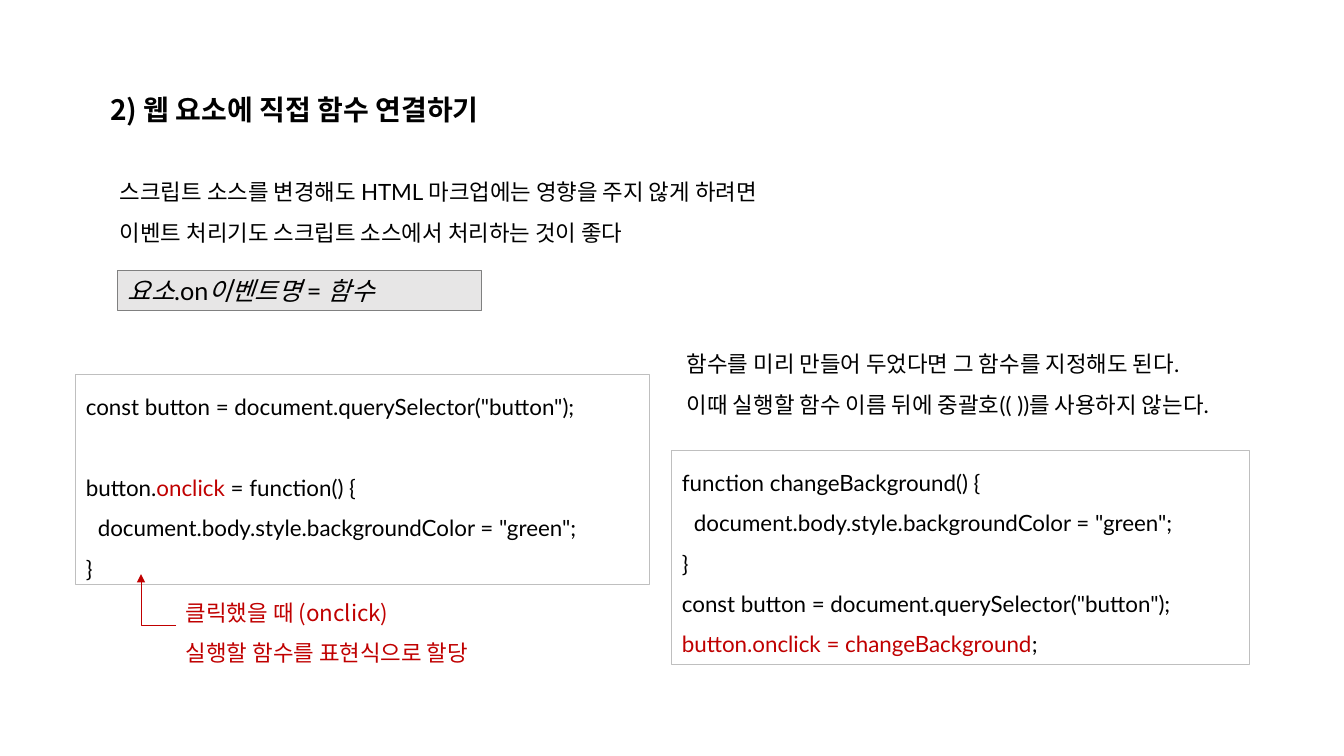
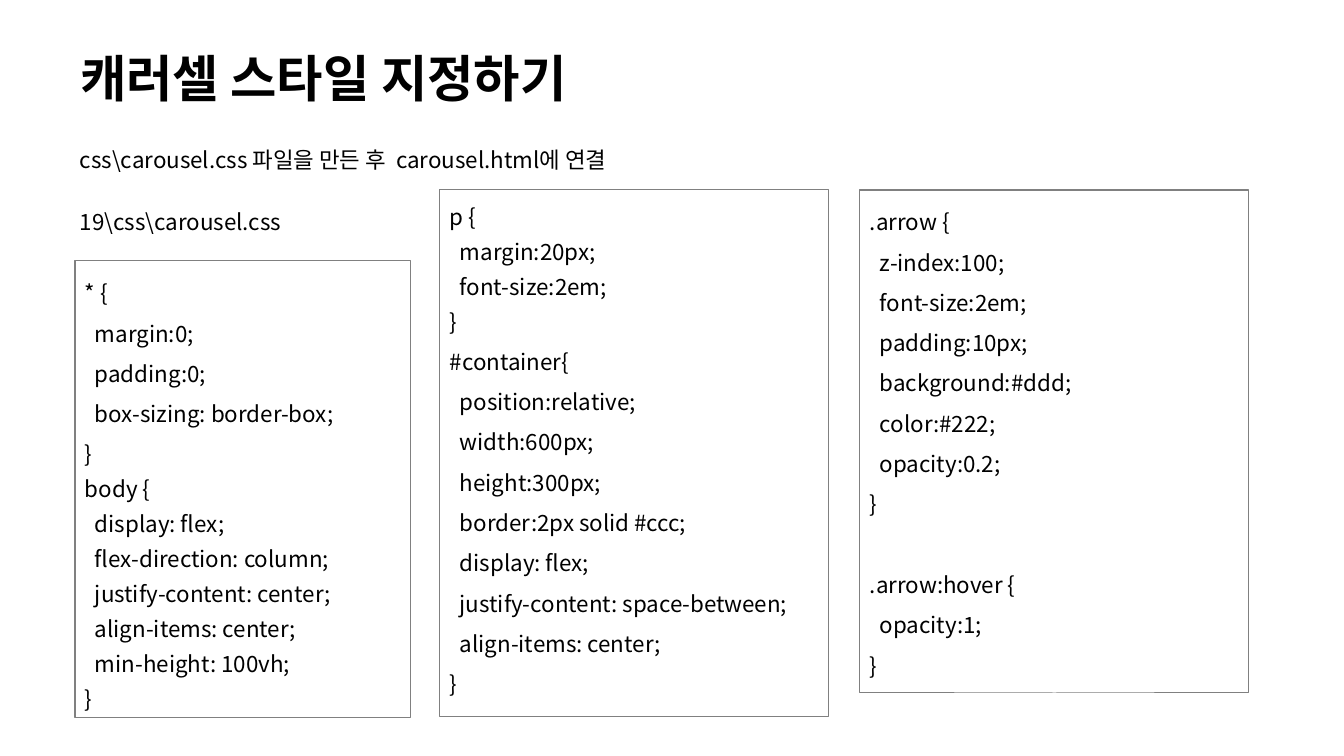
from dataclasses import dataclass

from lxml import etree
from pptx import Presentation
from pptx import util as u
from pptx.dml import color as dml
from pptx.enum import shapes, text
from pptx.oxml import ns

PIXEL = 12192000 / 1344
BLACK = "000000"
RED = "C00000"
GRAY = "808080"
SILVER = "BFBFBF"
PALE = "E7E6E6"
LATO = "Lato"
NOTO = "Noto Sans CJK KR"
BODY_SIZE = 16
LOOSE = 1.5
SNUG = 1.3
BLANK_LINE = 29
TITLE_ONLY = 5


@dataclass(frozen=True)
class Run:
    text: str
    color: str = BLACK
    italic: bool = False


@dataclass(frozen=True)
class Line:
    runs: tuple[Run, ...]
    spacing: float = LOOSE
    indented: bool = False
    after_blank: bool = False


@dataclass(frozen=True)
class Box:
    left: int
    top: int
    width: int
    height: int
    lines: tuple[Line, ...]
    font: str = NOTO
    size: int = BODY_SIZE
    border: str | None = None
    fill: str | None = None
    indent: int = 10


@dataclass(frozen=True)
class Title:
    left: int
    top: int
    width: int
    height: int
    text: str
    size: int
    spacing: float
    anchor: text.MSO_ANCHOR


def px(pixels: float) -> u.Emu:
    return u.Emu(round(pixels * PIXEL))


def rgb(value: str) -> dml.RGBColor:
    return dml.RGBColor.from_string(value)


def block(source: str, spacing: float = LOOSE, color: str = BLACK) -> tuple[Line, ...]:
    lines: list[Line] = []
    after_blank = False
    for row in source.strip("\n").split("\n"):
        if row:
            lines.append(Line((Run(row.lstrip(), color),), spacing, row.startswith(" "), after_blank))
        after_blank = not row
    return tuple(lines)


def add_run(paragraph, words: str, *, font: str, size: int, color: str = BLACK,
            bold: bool = False, italic: bool = False) -> None:
    run = paragraph.add_run()
    run.text = words
    run.font.name = font
    run.font.size = u.Pt(size)
    run.font.bold = bold
    run.font.italic = italic
    run.font.color.rgb = rgb(color)
    east_asian = etree.SubElement(run.font._element, ns.qn("a:ea"))
    east_asian.set("typeface", NOTO)


def add_title(slide, title: Title) -> None:
    shape = slide.shapes.title
    shape.left, shape.top = px(title.left), px(title.top)
    shape.width, shape.height = px(title.width), px(title.height)
    frame = shape.text_frame
    frame.auto_size = text.MSO_AUTO_SIZE.NONE
    frame.word_wrap = True
    frame.vertical_anchor = title.anchor
    paragraph = frame.paragraphs[0]
    paragraph.alignment = text.PP_ALIGN.LEFT
    paragraph.line_spacing = title.spacing
    add_run(paragraph, title.text, font=NOTO, size=title.size, bold=True)


def add_box(slide, box: Box) -> None:
    place = px(box.left), px(box.top), px(box.width), px(box.height)
    if box.border:
        shape = slide.shapes.add_shape(shapes.MSO_SHAPE.RECTANGLE, *place)
        shape.shadow.inherit = False
        shape.line.color.rgb = rgb(box.border)
        shape.line.width = u.Pt(0.75)
        if box.fill:
            shape.fill.solid()
            shape.fill.fore_color.rgb = rgb(box.fill)
        else:
            shape.fill.background()
    else:
        shape = slide.shapes.add_textbox(*place)
    frame = shape.text_frame
    frame.word_wrap = True
    frame.auto_size = text.MSO_AUTO_SIZE.SHAPE_TO_FIT_TEXT
    frame.vertical_anchor = text.MSO_ANCHOR.TOP
    for index, line in enumerate(box.lines):
        paragraph = frame.add_paragraph() if index else frame.paragraphs[0]
        paragraph.alignment = text.PP_ALIGN.LEFT
        paragraph.line_spacing = line.spacing
        if line.after_blank:
            paragraph.space_before = u.Pt(BLANK_LINE)
        if line.indented:
            paragraph._p.get_or_add_pPr().set("marL", str(px(box.indent)))
        for run in line.runs:
            add_run(paragraph, run.text, font=box.font, size=box.size,
                    color=run.color, italic=run.italic)


def add_bent_arrow(slide, left: int, top: int, right: int, bottom: int, color: str) -> None:
    connector = slide.shapes.add_connector(
        shapes.MSO_CONNECTOR.ELBOW, px(left), px(top), px(right), px(bottom))
    connector.line.color.rgb = rgb(color)
    connector.line.width = u.Pt(0.5)
    properties = connector._element.spPr
    properties.find(ns.qn("a:xfrm")).set("rot", "10800000")
    properties.find(ns.qn("a:prstGeom")).set("prst", "bentConnector2")
    tail = etree.SubElement(properties.find(ns.qn("a:ln")), ns.qn("a:tailEnd"))
    tail.set("type", "triangle")
    etree.SubElement(properties, ns.qn("a:effectLst"))


def add_slide(presentation, title: Title, boxes: tuple[Box, ...]):
    slide = presentation.slides.add_slide(presentation.slide_layouts[TITLE_ONLY])
    add_title(slide, title)
    for box in boxes:
        add_box(slide, box)
    return slide


SELECT_BUTTON = 'const button = document.querySelector("button");'
SET_GREEN = '  document.body.style.backgroundColor = "green";'

HANDLER_TITLE = Title(100, 87, 682, 44, "2) 웹 요소에 직접 함수 연결하기", 20, 1.0,
                      text.MSO_ANCHOR.TOP)
HANDLER_BOXES = (
    Box(110, 160, 938, 87, block("""
스크립트 소스를 변경해도 HTML 마크업에는 영향을 주지 않게 하려면
이벤트 처리기도 스크립트 소스에서 처리하는 것이 좋다
"""), LATO),
    Box(118, 270, 364, 41, (Line((
        Run("요소", italic=True), Run(".on"), Run("이벤트명 ", italic=True),
        Run("= "), Run("함수", italic=True)), 1.0),), LATO, 18, GRAY, PALE),
    Box(76, 375, 574, 210, (
        *block(SELECT_BUTTON),
        Line((Run("button."), Run("onclick ", RED), Run("= function() {")), after_blank=True),
        *block(f"{SET_GREEN}\n}}"),
    ), LATO, border=SILVER, indent=12),
    Box(176, 581, 330, 87, block("""
클릭했을 때 (onclick)
실행할 함수를 표현식으로 할당
""", color=RED)),
    Box(677, 332, 652, 87, block("""
함수를 미리 만들어 두었다면 그 함수를 지정해도 된다.
이때 실행할 함수 이름 뒤에 중괄호(( ))를 사용하지 않는다.
"""), LATO),
    Box(672, 451, 578, 214, (
        *block(f"function changeBackground() {{\n{SET_GREEN}\n}}\n{SELECT_BUTTON}"),
        Line((Run("button.onclick = changeBackground", RED), Run(";"))),
    ), LATO, border=SILVER, indent=12),
)

CAROUSEL_TITLE = Title(70, 35, 982, 93, "캐러셀 스타일 지정하기", 36, 0.9,
                       text.MSO_ANCHOR.MIDDLE)
CAROUSEL_BOXES = (
    Box(70, 128, 740, 45, block("css\\carousel.css 파일을 만든 후  carousel.html에 연결")),
    Box(70, 203, 290, 37, block("19\\css\\carousel.css", 1.0)),
    Box(75, 261, 336, 457, block("""
* {
  margin:0;
  padding:0;
  box-sizing: border-box;
}
""") + block("""
body {
  display: flex;
  flex-direction: column;
  justify-content: center;
  align-items: center;
  min-height: 100vh;
}
""", SNUG), border=GRAY),
    Box(440, 190, 389, 527, block("""
p {
  margin:20px;
  font-size:2em;
}
""", SNUG) + block("""
#container{
  position:relative;
  width:600px;
  height:300px;
  border:2px solid #ccc;
  display: flex;
  justify-content: space-between;
  align-items: center;
}
"""), border=GRAY),
    Box(860, 190, 389, 503, block("""
.arrow {
  z-index:100;
  font-size:2em;
  padding:10px;
  background:#ddd;
  color:#222;
  opacity:0.2;
}

.arrow:hover {
  opacity:1;
}
"""), border=GRAY),
)


def main() -> None:
    presentation = Presentation()
    presentation.slide_width = px(1344)
    presentation.slide_height = px(756)
    handler_slide = add_slide(presentation, HANDLER_TITLE, HANDLER_BOXES)
    add_bent_arrow(handler_slide, 141, 574, 176, 625, RED)
    add_slide(presentation, CAROUSEL_TITLE, CAROUSEL_BOXES)
    presentation.save("out.pptx")


main()
